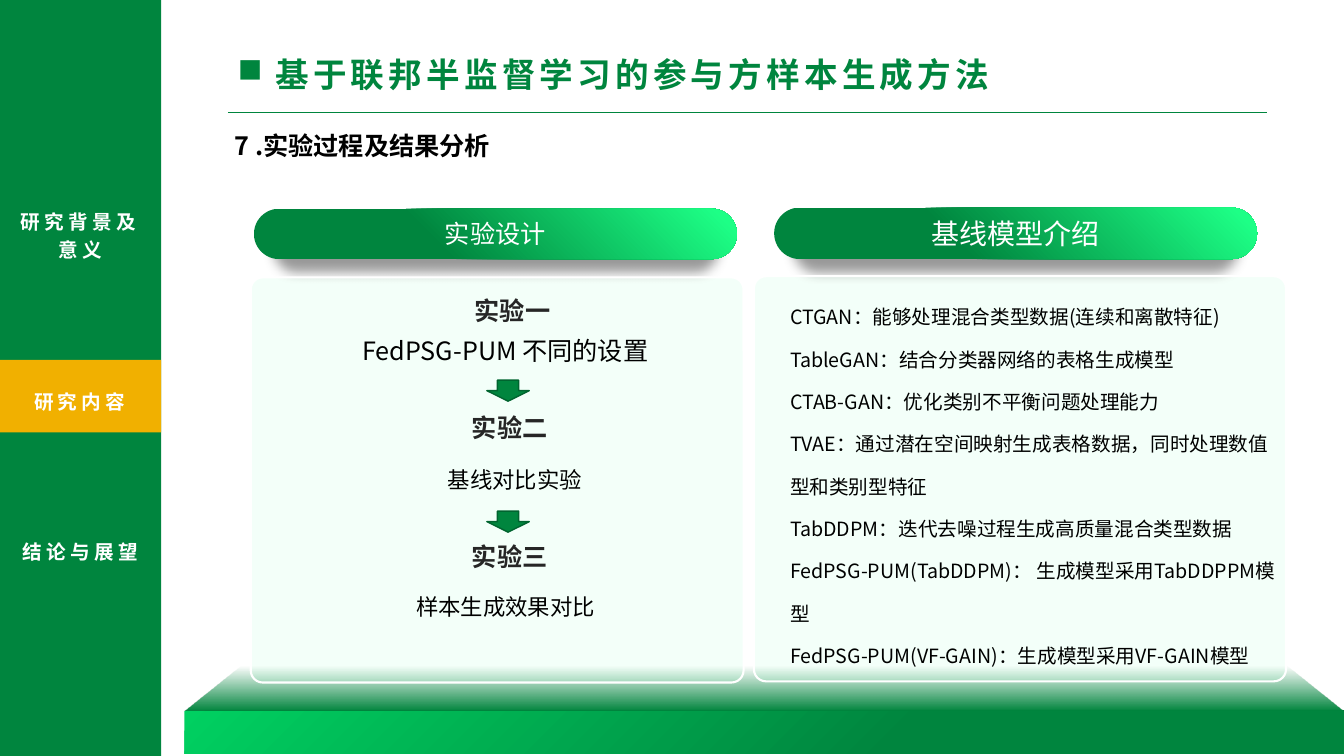
from dataclasses import dataclass

from lxml import etree
from pptx import Presentation
from pptx import util as u
from pptx.dml.color import RGBColor
from pptx.enum import shapes, text
from pptx.oxml import parse_xml
from pptx.oxml.ns import nsdecls, qn

Kind = shapes.MSO_SHAPE
Align = text.PP_ALIGN


@dataclass(frozen=True)
class Theme:
    font: str = "Noto Sans CJK SC"
    label: str = "Cabin"
    green: str = "00853E"
    edge: str = "00642F"
    leaf: str = "00D061"
    lime: str = "1DFF86"
    mint: str = "B4FFD7"
    gold: str = "F1B000"
    white: str = "FFFFFF"
    black: str = "000000"
    ink: str = "262626"
    title: int = 24
    big: int = 20
    head: int = 18
    body: int = 16
    small: int = 14


def rgb(code):
    return RGBColor.from_string(code)


def sub(node, tag, **attrs):
    return etree.SubElement(node, qn(tag), {k: str(v) for k, v in attrs.items()})


class Deck:
    """Holds the theme and the slide that is being built."""

    def __init__(self, theme):
        self.theme = theme
        self.file = Presentation()
        self.file.slide_width, self.file.slide_height = u.Cm(33.87), u.Cm(19.05)
        self.slide = self.file.slides.add_slide(self.file.slide_layouts[6])

    def run(self, para, words, size, color, bold=False, gap=0, font=None):
        run = para.add_run()
        run.text = words
        run.font.name = font or self.theme.font
        run.font.size = u.Pt(size)
        run.font.bold = bold
        run.font.color.rgb = rgb(color)
        props = run.font._element
        sub(props, "a:ea", typeface=self.theme.font)
        if gap:
            props.set("spc", str(gap * 100))

    def text(self, box, lines, size, color=None, align=Align.LEFT, space=None,
             bullet=None, grow=True, **style):
        """Adds a text box with one paragraph for each of the lines."""
        frame = self.slide.shapes.add_textbox(*map(u.Cm, box)).text_frame
        frame.word_wrap = True
        if grow:
            frame.auto_size = text.MSO_AUTO_SIZE.SHAPE_TO_FIT_TEXT
        for i, words in enumerate(lines):
            para = frame.add_paragraph() if i else frame.paragraphs[0]
            para.alignment = align
            if space:
                para.line_spacing = space
            if bullet:
                props = para._p.get_or_add_pPr()
                props.set("marL", str(u.Cm(0.95)))
                props.set("indent", str(u.Cm(-0.95)))
                sub(props, "a:buChar", char=bullet)
            self.run(para, words, size, color or self.theme.black, **style)

    def shape(self, kind, box, fill=None, alpha=None, line=None, width=1, adj=None):
        shape = self.slide.shapes.add_shape(kind, *map(u.Cm, box))
        shape.shadow.inherit = False
        if adj is not None:
            shape.adjustments[0] = adj
        if fill:
            shape.fill.solid()
            shape.fill.fore_color.rgb = rgb(fill)
            if alpha is not None:
                tone = shape._element.spPr.find(".//" + qn("a:srgbClr"))
                sub(tone, "a:alpha", val=alpha * 1000)
        if line:
            shape.line.color.rgb = rgb(line)
            shape.line.width = u.Pt(width)
        else:
            shape.line.fill.background()
        return shape

    def fade(self, shape, stops, angle=None):
        """Fills with (place, colour, alpha) stops; no angle means from top right."""
        grad = parse_xml(f'<a:gradFill {nsdecls("a")} rotWithShape="1"/>')
        group = sub(grad, "a:gsLst")
        for place, color, alpha in stops:
            tone = sub(sub(group, "a:gs", pos=place * 1000), "a:srgbClr", val=color)
            if alpha < 100:
                sub(tone, "a:alpha", val=alpha * 1000)
        if angle is None:
            way = sub(grad, "a:path", path="circle")
            sub(way, "a:fillToRect", l=100000, b=100000)
        else:
            sub(grad, "a:lin", ang=angle * 60000, scaled=0)
        shape.fill.background()
        props = shape._element.spPr
        props.replace(props.find(qn("a:noFill")), grad)

    def pill(self, box, words, size):
        look = self.theme
        pill = self.shape(Kind.ROUNDED_RECTANGLE, box, adj=0.5)
        self.fade(pill, [(4, look.lime, 100), (63, look.green, 100)])
        glow = sub(pill._element.spPr.find(qn("a:effectLst")), "a:outerShdw",
                   blurRad=u.Pt(9), dist=u.Pt(9), dir=90 * 60000, sx=92000,
                   algn="t", rotWithShape=0)
        sub(sub(glow, "a:srgbClr", val=look.black), "a:alpha", val=40000)
        frame = pill.text_frame
        frame.margin_left = frame.margin_right = 0
        frame.margin_top = frame.margin_bottom = 0
        frame.vertical_anchor = text.MSO_ANCHOR.MIDDLE
        para = frame.paragraphs[0]
        para.alignment = Align.CENTER
        self.run(para, words, size, look.white, font=look.label)

    def line(self, x1, y1, x2, y2, color, width):
        line = self.slide.shapes.add_connector(
            shapes.MSO_CONNECTOR.STRAIGHT, *map(u.Cm, (x1, y1, x2, y2)))
        line.line.color.rgb = rgb(color)
        line.line.width = u.Pt(width)
        sub(line._element.spPr, "a:effectLst")


def header(deck):
    look = deck.theme
    deck.line(5.74, 2.84, 31.93, 2.84, look.green, 0.5)
    deck.text((5.74, 1.24, 21.77, 1.27), ["基于联邦半监督学习的参与方样本生成方法"],
              look.title, look.green, bullet="■", bold=True, gap=3)
    deck.text((5.66, 3.15, 13.61, 1.02), ["7 .实验过程及结果分析"], look.head, bold=True)


def stage(deck):
    look = deck.theme
    front = deck.shape(Kind.ROUNDED_RECTANGLE, (4.65, 17.91, 29.21, 1.09), adj=0)
    deck.fade(front, [(0, look.leaf, 100), (62, look.green, 100)], 45)
    floor = deck.shape(Kind.TRAPEZOID, (4.65, 16.36, 29.21, 1.54), adj=1.27)
    deck.fade(floor, [(27, look.green, 0), (100, look.green, 100)], 90)


def panels(deck):
    look = deck.theme
    for pill, words, size, panel in (
            ((6.4, 5.26, 12.17, 1.27), "实验设计", look.head, (6.32, 6.99, 12.42, 10.21)),
            ((19.51, 5.23, 12.17, 1.3), "基线模型介绍", look.big, (19, 6.96, 13.41, 10.21))):
        deck.pill(pill, words, size)
        deck.shape(Kind.ROUNDED_RECTANGLE, panel, look.mint, alpha=15,
                   line=look.white, width=1.5, adj=0.03)


def steps(deck):
    look = deck.theme
    for x, y, name, box, words, size in (
            (6.83, 7.32, "实验一", (6.5, 8.33, 12.47, 1.02), "FedPSG-PUM 不同的设置", look.head),
            (6.76, 10.26, "实验二", (5.92, 11.61, 14.12, 0.94), "基线对比实验", look.body),
            (6.76, 13.51, "实验三", (6.53, 14.83, 12.42, 0.94), "样本生成效果对比", look.body)):
        deck.text((x, y, 12.17, 0.97), [name], look.head, look.ink,
                  Align.CENTER, grow=False, bold=True)
        deck.text(box, [words], size, align=Align.CENTER)
    for y in (9.58, 12.88):
        deck.shape(Kind.DOWN_ARROW, (12.27, y, 1.07, 0.53), look.green, line=look.edge)


def models(deck):
    deck.text((19.66, 7.09, 12.78, 9.8), [
        "CTGAN：能够处理混合类型数据(连续和离散特征)",
        "TableGAN：结合分类器网络的表格生成模型",
        "CTAB-GAN：优化类别不平衡问题处理能力",
        "TVAE：通过潜在空间映射生成表格数据，同时处理数值型和类别型特征",
        "TabDDPM：迭代去噪过程生成高质量混合类型数据"
        "FedPSG-PUM(TabDDPM)： 生成模型采用TabDDPPM模型",
        "FedPSG-PUM(VF-GAIN)：生成模型采用VF-GAIN模型",
    ], deck.theme.small, space=1.8)


def menu(deck):
    look = deck.theme
    deck.shape(Kind.RECTANGLE, (0, 0, 4.06, 19.05), look.green)
    deck.shape(Kind.RECTANGLE, (0, 9.07, 4.06, 1.83), look.gold)
    for box, words, align in (
            ((0, 5.05, 4.06, 1.68), "研究背景及意义", Align.CENTER),
            ((0.61, 9.58, 3.15, 0.97), "研究内容", Align.LEFT),
            ((0, 13.36, 4.06, 0.97), "结论与展望", Align.CENTER)):
        deck.text(box, [words], look.small, look.white, align, 1.2, bold=True, gap=3)


def main():
    deck = Deck(Theme())
    for part in (header, stage, panels, steps, models, menu):
        part(deck)
    deck.file.save("out.pptx")


if __name__ == "__main__":
    main()
